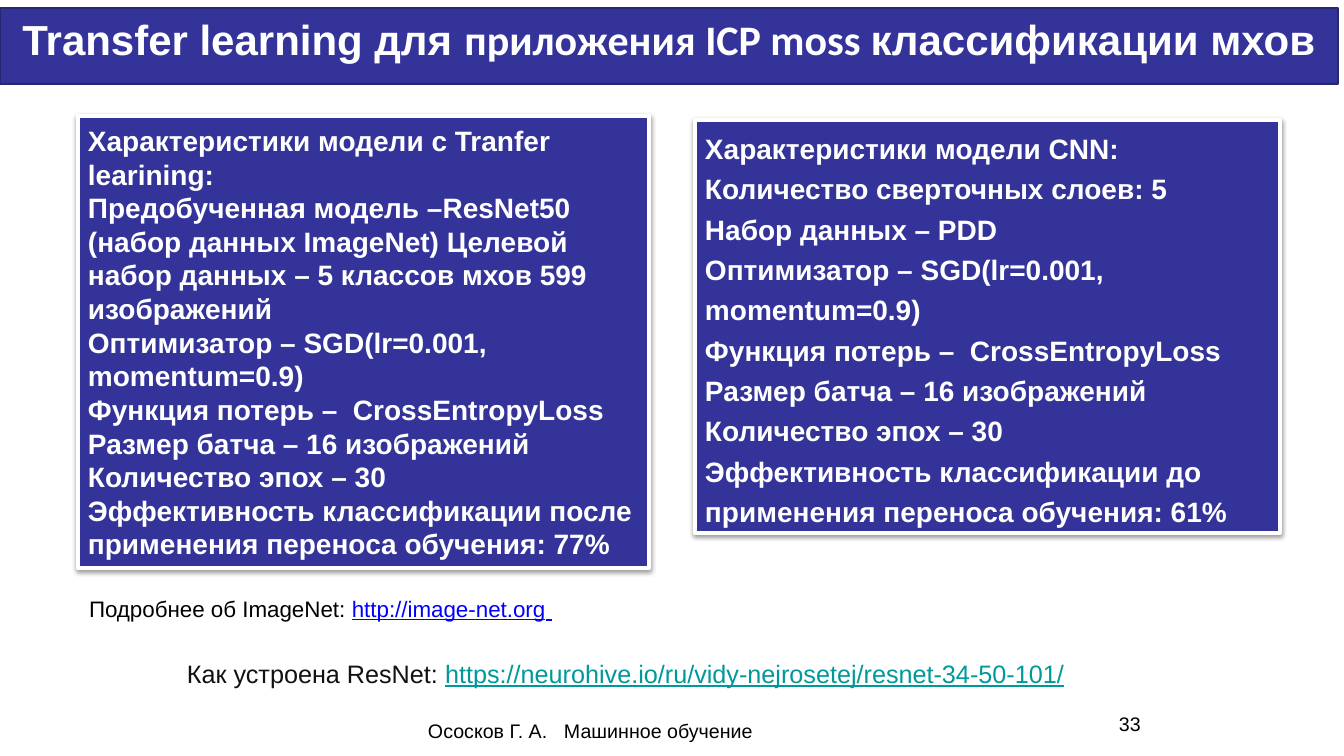
import pptx
import pptx.dml.color
import pptx.enum.shapes
import pptx.enum.text
import pptx.oxml
import pptx.oxml.ns
import pptx.util

PX = 914400 / 100.8
NAVY, WHITE, BLACK = "333399", "FFFFFF", "000000"
ANCHOR = pptx.enum.text.MSO_ANCHOR
HEADING = {"size": 30, "bold": True, "color": WHITE}
BODY = {"size": 20, "bold": True, "color": WHITE}
FOOTER = {"size": 14, "color": BLACK}

TRANSFER_LINES = [
    "Характеристики модели c Tranfer learining:",
    "Предобученная модель –ResNet50 (набор данных ImageNet) Целевой "
    "набор данных – 5 классов мхов 599 изображений",
]
TRAINING_LINES = [
    "Оптимизатор – SGD(lr=0.001,  momentum=0.9)",
    "Функция потерь –  CrossEntropyLoss",
    "Размер батча – 16 изображений",
    "Количество эпох – 30",
]
CNN_LINES = [
    "Характеристики модели СNN:",
    "Количество сверточных слоев: 5",
    "Набор данных – PDD",
]
RESULT = "Эффективность классификации {} применения переноса обучения: {}"


def px(length):
    return pptx.util.Emu(round(length * PX))


def rgb(value):
    return pptx.dml.color.RGBColor.from_string(value)


def add_run(paragraph, text, style):
    run = paragraph.add_run()
    run.text = text
    values = {"name": "Arial", **style}
    run.font.color.rgb = rgb(values.pop("color"))
    values["size"] = pptx.util.Pt(values["size"])
    for name, value in values.items():
        setattr(run.font, name, value)


def set_frame(frame, anchor):
    values = {
        "word_wrap": True,
        "auto_size": pptx.enum.text.MSO_AUTO_SIZE.NONE,
        "vertical_anchor": anchor,
        "margin_left": px(10),
        "margin_right": px(10),
        "margin_top": px(5),
        "margin_bottom": px(5),
    }
    for name, value in values.items():
        setattr(frame, name, value)


def paint(shape, line_color, line_width):
    shape.fill.solid()
    shape.fill.fore_color.rgb = rgb(NAVY)
    shape.line.color.rgb = rgb(line_color)
    shape.line.width = pptx.util.Pt(line_width)


def add_title(slide, box):
    title = slide.shapes.title
    for name, value in zip(("left", "top", "width", "height"), box):
        setattr(title, name, px(value))
    paint(title, "262671", 2)
    set_frame(title.text_frame, ANCHOR.MIDDLE)
    title.text_frame.margin_bottom = px(19)
    paragraph = title.text_frame.paragraphs[0]
    paragraph.alignment = pptx.enum.text.PP_ALIGN.CENTER
    add_run(paragraph, "Transfer learning для ", HEADING)
    add_run(paragraph, "приложения ICP moss ", {**HEADING, "name": "Calibri"})
    add_run(paragraph, "классификации мхов", HEADING)


def add_soft_shadow(shape):
    shape.shadow.inherit = False
    effects = shape._element.spPr.find(pptx.oxml.ns.qn("a:effectLst"))
    effects.append(pptx.oxml.parse_xml(
        f'<a:outerShdw {pptx.oxml.ns.nsdecls("a")} blurRad="40000" dist="20000" '
        'dir="5400000" rotWithShape="0"><a:srgbClr val="000000">'
        '<a:alpha val="38000"/></a:srgbClr></a:outerShdw>'))


def add_panel(slide, box, lines, spacing):
    rectangle = pptx.enum.shapes.MSO_SHAPE.RECTANGLE
    panel = slide.shapes.add_shape(rectangle, *map(px, box))
    paint(panel, WHITE, 3)
    add_soft_shadow(panel)
    frame = panel.text_frame
    set_frame(frame, ANCHOR.MIDDLE)
    for index, line in enumerate(lines):
        paragraph = frame.add_paragraph() if index else frame.paragraphs[0]
        paragraph.alignment = pptx.enum.text.PP_ALIGN.LEFT
        paragraph.line_spacing = spacing
        add_run(paragraph, line, BODY)


def add_label(slide, box, runs, tab=None):
    """Add one line of text; tab is the distance in px to a tab stop."""
    label = slide.shapes.add_textbox(*map(px, box))
    set_frame(label.text_frame, ANCHOR.TOP)
    paragraph = label.text_frame.paragraphs[0]
    if tab:
        paragraph._p.get_or_add_pPr().append(pptx.oxml.parse_xml(
            f'<a:tabLst {pptx.oxml.ns.nsdecls("a")}>'
            f'<a:tab pos="{px(tab)}" algn="l"/></a:tabLst>'))
    for text, style in runs:
        add_run(paragraph, text, style)


def main():
    presentation = pptx.Presentation()
    presentation.slide_width = px(1344)
    presentation.slide_height = px(756)
    slide = presentation.slides.add_slide(presentation.slide_layouts[5])

    add_title(slide, (0, 8, 1338, 76))
    add_panel(slide, (78, 116, 571, 452),
              TRANSFER_LINES + TRAINING_LINES + [RESULT.format("после", "77%")], 1.0)
    add_panel(slide, (695, 120, 585, 413),
              CNN_LINES + TRAINING_LINES + [RESULT.format("до", "61%")], 1.2)

    link = {"size": 16, "color": "0000FF", "underline": True}
    add_label(slide, (79, 587, 495, 40), [
        ("Подробнее об ImageNet: ", {"size": 16, "color": BLACK}),
        ("http://image-net.org", link),
        (" ", {**link, "size": 18}),
    ])
    add_label(slide, (177, 653, 980, 40), [
        ("Как устроена ResNet: ", {"size": 18, "color": "111111"}),
        ("https://neurohive.io/ru/vidy-nejrosetej/resnet-34-50-101/",
         {"size": 18, "color": "009999", "underline": True}),
    ])
    add_label(slide, (418, 714, 413, 29),
              [("Ососков Г. А.\tМашинное обучение", FOOTER)], tab=136)
    add_label(slide, (1109, 707, 43, 29), [("33", FOOTER)])

    presentation.save("out.pptx")


if __name__ == "__main__":
    main()
